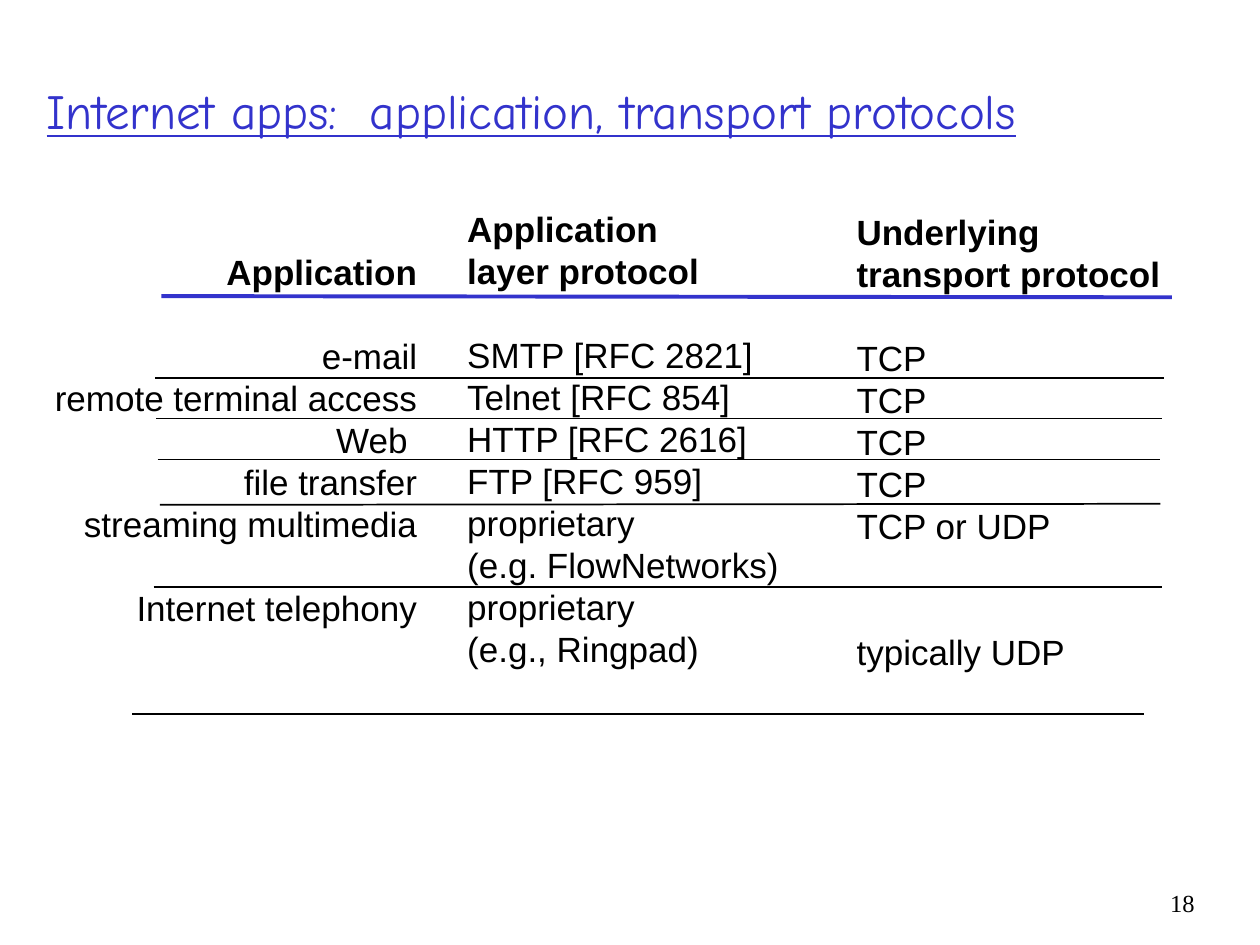
"""Build the slide on Internet applications and their transport protocols."""
from lxml import etree
from pptx import Presentation
from pptx.dml.color import RGBColor
from pptx.enum import shapes, text
from pptx.oxml import ns
from pptx.util import Pt

THEME = {
    "blue": RGBColor(0x33, 0x33, 0xCC),
    "black": RGBColor(0, 0, 0),
    "title": ("Comic Neue", 28),
    "body": ("Arial", 20),
    "page": ("Times New Roman", 14),
    "pitch": 24,
}
LEFT, RIGHT = text.PP_ALIGN.LEFT, text.PP_ALIGN.RIGHT

TITLE = "Internet apps:  application, transport protocols"
PAGE = "18"

COLS = [
    {"box": (22.5, 139.7, 223, 248), "align": RIGHT, "rows": [
        (0, "Application", True), (2, "e-mail", False),
        (3, "remote terminal access", False), (4, "Web ", False),
        (5, "file transfer", False), (6, "streaming multimedia", False),
        (8, "Internet telephony", False)]},
    {"box": (259.9, 115.2, 196, 271.5), "align": LEFT, "rows": [
        (0, "Application", True), (1, "layer protocol", True),
        (3, "SMTP [RFC 2821]", False), (4, "Telnet [RFC 854]", False),
        (5, "HTTP [RFC 2616]", False), (6, "FTP [RFC 959]", False),
        (7, "proprietary", False), (8, "(e.g. FlowNetworks)", False),
        (9, "proprietary", False), (10, "(e.g., Ringpad)", False)]},
    {"box": (482.4, 116.7, 206.6, 271.5), "align": LEFT, "rows": [
        (0, "Underlying", True), (1, "transport protocol", True),
        (3, "TCP", False), (4, "TCP", False), (5, "TCP", False),
        (6, "TCP", False), (7, "TCP or UDP", False),
        (10, "typically UDP", False)]},
]

RULES = [
    (92.2, 169.2, 669.6, 169.9, "blue", 2.25),
    (88.6, 216, 665.3, 216, "black", 1),
    (89.3, 239.1, 663.9, 239.1, "black", 1),
    (90, 262.6, 663.1, 262.6, "black", 1),
    (91.4, 288.5, 663.1, 287.9, "black", 1),
    (87.8, 335.3, 664, 335.3, "black", 1),
    (75.6, 408, 654, 408, "black", 1),
]


def style(para, kind, tint, bold=False):
    """Apply a theme type style to the runs of a paragraph."""
    name, size = THEME[kind]
    for run in para.runs:
        font = run.font
        font.name, font.size, font.bold = name, Pt(size), bold
        font.color.rgb = THEME[tint]


def add_box(slide, box):
    """Add a wrapping text box and return its text frame."""
    frame = slide.shapes.add_textbox(*map(Pt, box)).text_frame
    frame.word_wrap = True
    return frame


def add_title(slide):
    """Place and format the title."""
    shape = slide.shapes.title
    shape.left, shape.top, shape.width, shape.height = map(
        Pt, (19.4, 18, 689, 90))
    frame = shape.text_frame
    frame.text = TITLE
    frame.word_wrap = True
    frame.auto_size = text.MSO_AUTO_SIZE.NONE
    frame.vertical_anchor = text.MSO_ANCHOR.MIDDLE
    para = frame.paragraphs[0]
    para.alignment = LEFT
    style(para, "title", "blue")
    para.runs[0].font.underline = True


def add_col(slide, col):
    """Set a column, leaving paragraph space for each skipped row."""
    frame = add_box(slide, col["box"])
    pitch, last = THEME["pitch"], -1
    for row, words, bold in col["rows"]:
        para = frame.paragraphs[0] if last < 0 else frame.add_paragraph()
        para.text = words
        para.alignment = col["align"]
        para.line_spacing = Pt(pitch)
        para.space_before = Pt(pitch * (row - last - 1))
        style(para, "body", "black", bold)
        last = row


def add_rule(slide, rule):
    """Draw one rule without a shadow."""
    *ends, tint, width = rule
    line = slide.shapes.add_connector(
        shapes.MSO_CONNECTOR.STRAIGHT, *map(Pt, ends))
    line.line.color.rgb = THEME[tint]
    line.line.width = Pt(width)
    props = line._element.find(ns.qn("p:spPr"))
    etree.SubElement(props, ns.qn("a:effectLst"))


def main():
    """Assemble and save the deck."""
    deck = Presentation()
    deck.slide_width, deck.slide_height = Pt(720), Pt(540)
    slide = deck.slides.add_slide(deck.slide_layouts[5])
    add_title(slide)
    for col in COLS:
        add_col(slide, col)
    for rule in RULES:
        add_rule(slide, rule)
    frame = add_box(slide, (653.8, 504, 36, 36))
    frame.text = PAGE
    frame.paragraphs[0].alignment = RIGHT
    style(frame.paragraphs[0], "page", "black")
    deck.save("out.pptx")


if __name__ == "__main__":
    main()
